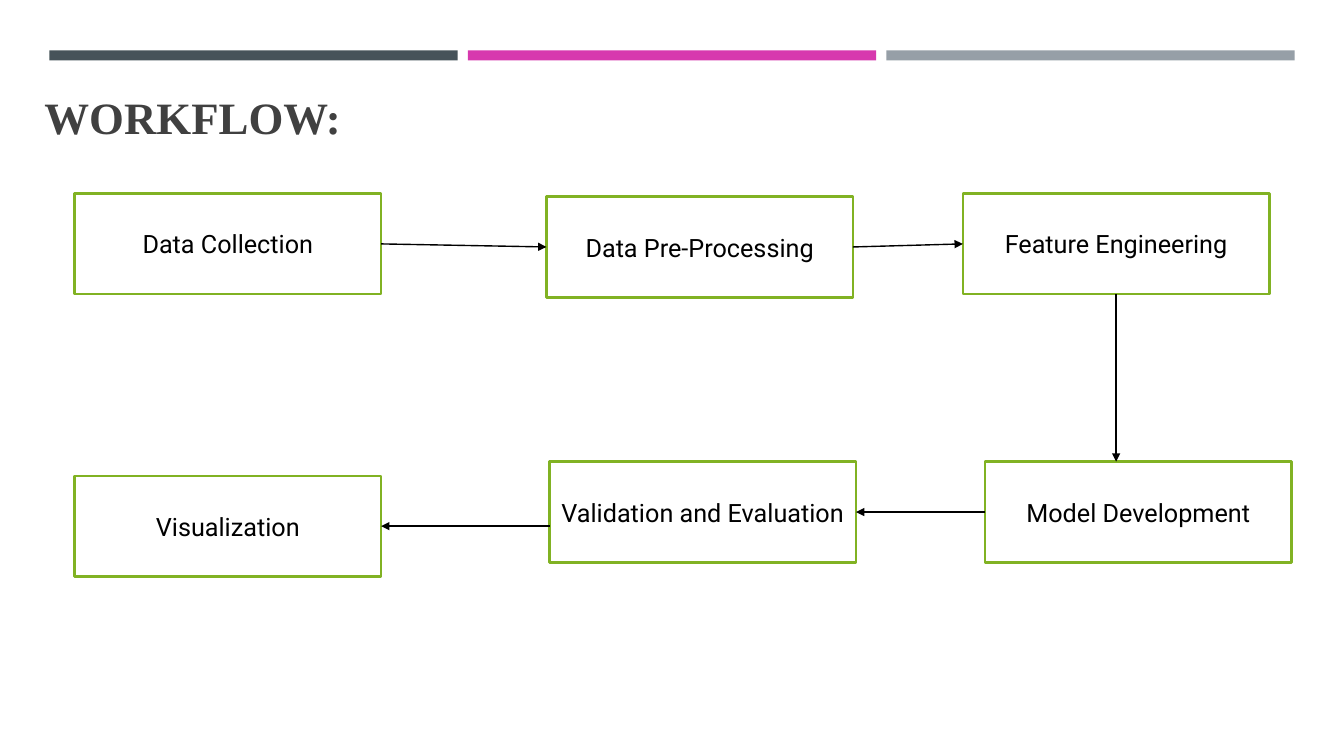
import pptx
import pptx.util
import pptx.dml.color
import pptx.enum.shapes
import pptx.enum.text
import pptx.oxml.ns
import lxml.etree

Inches = pptx.util.Inches
Pt = pptx.util.Pt
SHAPE = pptx.enum.shapes.MSO_SHAPE
ANCHOR = pptx.enum.text.MSO_ANCHOR
ALIGN = pptx.enum.text.PP_ALIGN

COLORS = {
    "slate": "465359", "pink": "D739AE", "gray": "969FA7",
    "green": "81B223", "white": "FFFFFF", "black": "000000", "title": "404040",
}
TOP, LEFT, BOTTOM, RIGHT = range(4)
STEP_W, STEP_H = 3.04, 1
STEPS = [
    ("Data Collection", 0.74, 1.92),
    ("Data Pre-Processing", 5.42, 1.95),
    ("Feature Engineering", 9.55, 1.92),
    ("Model Development", 9.77, 4.58),
    ("Validation and Evaluation", 5.45, 4.58),
    ("Visualization", 0.74, 4.72),
]


def rgb(name):
    return pptx.dml.color.RGBColor.from_string(COLORS[name])


def add_run(p, text, font, size, color, bold=False):
    r = p.add_run()
    r.text = text
    r.font.name = font
    r.font.size = Pt(size)
    r.font.bold = bold
    r.font.color.rgb = rgb(color)


def add_rect(s, x, y, w, h, fill):
    sp = s.shapes.add_shape(SHAPE.RECTANGLE, Inches(x), Inches(y), Inches(w), Inches(h))
    sp.shadow.inherit = False
    sp.fill.solid()
    sp.fill.fore_color.rgb = rgb(fill)
    sp.line.fill.background()
    return sp


def add_bars(s, x, y, w, h, gap):
    names = ("slate", "pink", "gray")
    bar_w = (w - gap * (len(names) - 1)) / len(names)
    for i, name in enumerate(names):
        add_rect(s, x + i * (bar_w + gap), y, bar_w, h, name)


def add_title(s, x, y, w, h):
    sp = s.shapes.title
    sp.left, sp.top, sp.width, sp.height = Inches(x), Inches(y), Inches(w), Inches(h)
    tf = sp.text_frame
    tf.word_wrap = True
    tf.vertical_anchor = ANCHOR.BOTTOM
    p = tf.paragraphs[0]
    p.alignment = ALIGN.LEFT
    p.space_after = Pt(6)
    add_run(p, "WORKFLOW:", "Times New Roman", 32, "title", True)


def add_step(s, text, x, y):
    sp = add_rect(s, x, y, STEP_W, STEP_H, "white")
    sp.line.color.rgb = rgb("green")
    sp.line.width = Pt(1.75)
    tf = sp.text_frame
    tf.word_wrap = True
    tf.vertical_anchor = ANCHOR.MIDDLE
    p = tf.paragraphs[0]
    p.alignment = ALIGN.CENTER
    add_run(p, text, "Roboto", 18, "black")
    return sp


def side_point(sp, side):
    across = {LEFT: 0, RIGHT: sp.width}.get(side, sp.width // 2)
    down = {TOP: 0, BOTTOM: sp.height}.get(side, sp.height // 2)
    return sp.left + across, sp.top + down


def add_arrow(s, start, end):
    cx = s.shapes.add_connector(pptx.enum.shapes.MSO_CONNECTOR.STRAIGHT, *start, *end)
    cx.line.color.rgb = rgb("black")
    cx.line.width = Pt(1)
    qn = pptx.oxml.ns.qn
    lxml.etree.SubElement(cx.line._get_or_add_ln(), qn("a:tailEnd"), type="triangle")
    lxml.etree.SubElement(cx._element.spPr, qn("a:effectLst"))
    return cx


def add_workflow(s, x, y):
    steps = [add_step(s, text, x + dx - STEPS[0][1], y + dy - STEPS[0][2])
             for text, dx, dy in STEPS]
    collect, prepare, feature, model, validate, visualize = steps
    for a, a_side, b, b_side in (
        (collect, RIGHT, prepare, LEFT),
        (prepare, RIGHT, feature, LEFT),
        (model, LEFT, validate, RIGHT),
    ):
        cx = add_arrow(s, side_point(a, a_side), side_point(b, b_side))
        cx.begin_connect(a, a_side)
        cx.end_connect(b, b_side)

    down = side_point(feature, BOTTOM)
    cx = add_arrow(s, down, (down[0], model.top))
    cx.begin_connect(feature, BOTTOM)

    back = side_point(visualize, RIGHT)
    cx = add_arrow(s, (validate.left, back[1]), back)
    cx.end_connect(visualize, RIGHT)


def main():
    prs = pptx.Presentation()
    prs.slide_width, prs.slide_height = Inches(13.33), Inches(7.5)
    s = prs.slides.add_slide(prs.slide_layouts[5])
    s.background.fill.solid()
    s.background.fill.fore_color.rgb = rgb("white")
    add_bars(s, 0.49, 0.5, 12.35, 0.1, 0.1)
    add_title(s, 0.34, 0.72, 12.02, 0.75)
    add_workflow(s, 0.74, 1.92)
    prs.save("out.pptx")


if __name__ == "__main__":
    main()
